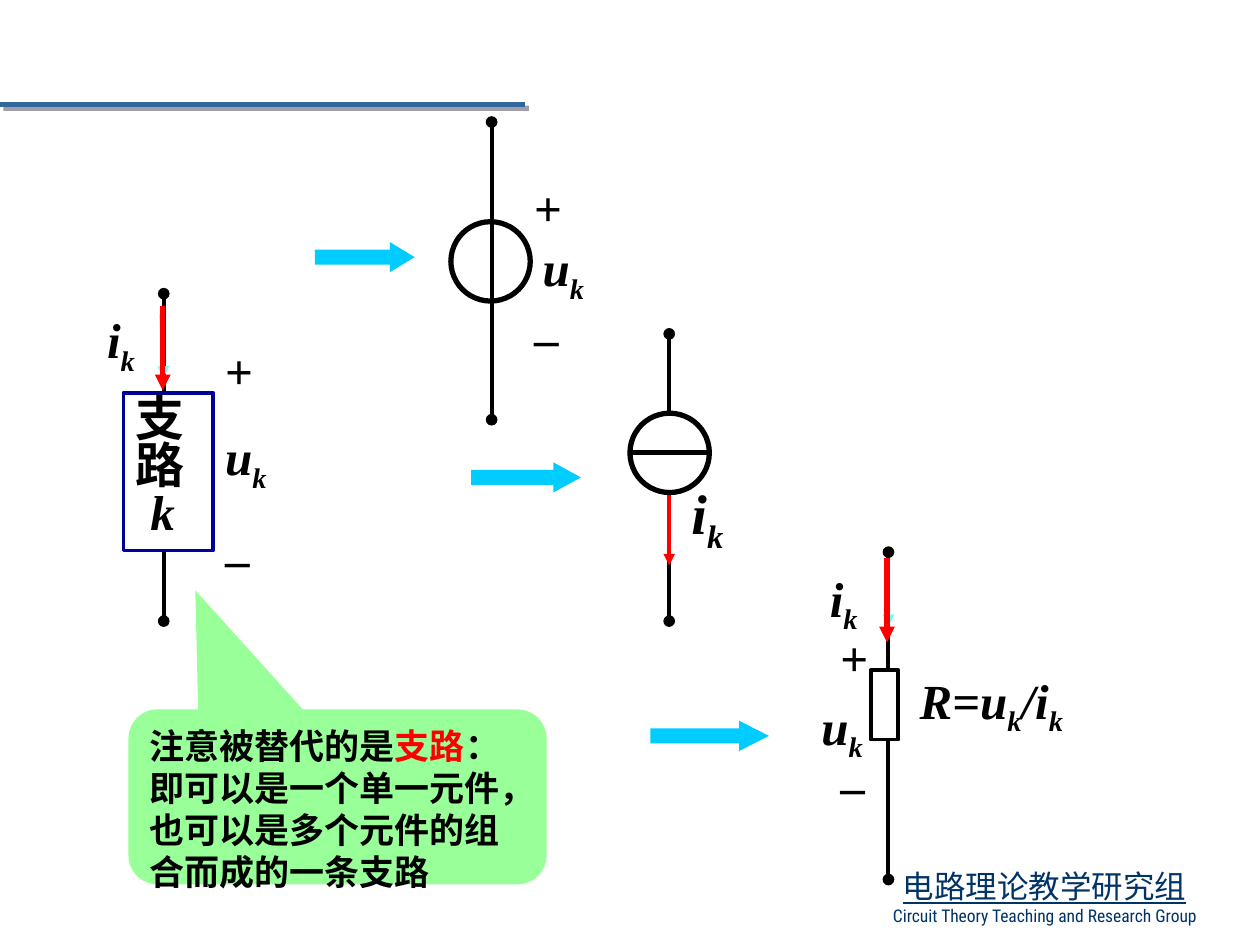
import pptx
import pptx.dml.color
import pptx.enum.shapes
import pptx.enum.text
import pptx.oxml
import pptx.oxml.ns
import pptx.util

Cm, Pt = pptx.util.Cm, pptx.util.Pt
KIND = pptx.enum.shapes.MSO_SHAPE
ALIGN = pptx.enum.text.PP_ALIGN
LATIN, CHINESE, FOOTER = "Times New Roman", "Noto Sans CJK SC", "Roboto Condensed"
BLACK, RED, CYAN, NAVY, WHITE = "000000", "FF0000", "66FFFF", "000099", "FFFFFF"
DOTS, ARROW, PLAIN = ("oval", "oval"), (None, "triangle"), (None, None)

# Content, in cm and back to front within each circuit
# line: x1, y1, x2, y2, colour, points, ends
# label: x, y, width, size, pieces (every second piece is a subscript)
# outline: x, y, width, height, preset, colour, points
I_K, U_K, PLUS, MINUS = ["i", "k"], ["u", "k"], ["+"], ["–"]
circuits = {
    "branch": [
        ("line", 3.3, 5.92, 3.3, 12.52, BLACK, 2.25, DOTS),
        ("branch box", 2.49, 7.92, 1.8, 3.18, KIND.RECTANGLE, NAVY, 2.25),
        ("line", 3.25, 6.32, 3.3, 7.62, CYAN, 2.25, ARROW),
        ("label", 1.91, 6.12, 1.47, 28, I_K),
        ("label", 4.29, 6.73, 0.69, 28, PLUS),
        ("label", 4.29, 10.52, 1.07, 28, MINUS),
        ("label", 4.29, 8.48, 1.52, 28, U_K),
        ("line", 3.28, 6.17, 3.28, 7.87, RED, 3, ARROW),
    ],
    "voltage source": [
        ("outline", 9.09, 4.47, 1.6, 1.6, KIND.OVAL, BLACK, 3),
        ("line", 9.93, 4.62, 9.93, 5.99, BLACK, 1.5, PLAIN),
        ("label", 10.52, 3.45, 0.69, 28, PLUS),
        ("label", 10.52, 6.07, 1.07, 28, MINUS),
        ("label", 10.69, 4.67, 1.52, 28, U_K),
        ("line", 9.91, 2.46, 9.91, 8.46, BLACK, 2.25, DOTS),
    ],
    "resistor": [
        ("line", 17.91, 11.13, 17.91, 17.73, BLACK, 2.25, DOTS),
        ("line", 17.91, 11.33, 17.91, 12.62, CYAN, 2.25, ARROW),
        ("label", 16.48, 11.33, 1.47, 28, I_K),
        ("label", 16.69, 12.52, 0.69, 28, PLUS),
        ("label", 16.69, 15.11, 1.07, 28, MINUS),
        ("label", 16.31, 13.92, 1.52, 28, U_K),
        ("label", 18.29, 13.39, 3.51, 28, ["R=u", "k", "/i", "k"]),
        ("outline", 17.55, 13.51, 0.56, 1.4, KIND.RECTANGLE, BLACK, 2.25),
        ("line", 17.88, 11.25, 17.88, 12.95, RED, 3, ARROW),
    ],
    "current source": [
        ("line", 13.49, 6.73, 13.49, 12.52, BLACK, 2.25, DOTS),
        ("label", 13.69, 9.53, 1.73, 32, I_K),
        ("line", 13.49, 9.93, 13.49, 11.4, RED, 2.25, ARROW),
        ("outline", 12.7, 8.33, 1.6, 1.6, KIND.OVAL, BLACK, 3),
        ("line", 12.7, 9.12, 14.3, 9.12, BLACK, 3, PLAIN),
    ],
}
branch_name = [("支", CHINESE), ("路", CHINESE), ("k", LATIN)]
replacements = [(6.35, 4.88, 2.01), (9.5, 9.32, 2.21), (13.11, 14.53, 2.39)]
ARROW_HEIGHT = 0.61
note = [("注意被替代的是", BLACK), ("支路", RED),
        ("：即可以是一个单一元件，也可以是多个元件的组合而成的一条支路", BLACK)]
footer = [("电路理论教学研究组", 18, CHINESE, True),
          ("Circuit Theory Teaching and Research Group", 10, FOOTER, False)]


def rgb(colour):
    return pptx.dml.color.RGBColor.from_string(colour)


def add_xml(parent, tag, **attributes):
    child = pptx.oxml.parse_xml(f"<{tag} {pptx.oxml.ns.nsdecls('a')}/>")
    for key, value in attributes.items():
        child.set(key, str(value))
    parent.append(child)
    return child


def style(run, size, face, colour=BLACK, bold=True, italic=False):
    font = run.font
    font.size, font.name, font.bold, font.italic = Pt(size), face, bold, italic
    font.color.rgb = rgb(colour)
    if face == CHINESE:
        add_xml(font._element, "a:ea", typeface=face)


def add_line(parent, x1, y1, x2, y2, colour, points, ends):
    line = parent.add_connector(pptx.enum.shapes.MSO_CONNECTOR.STRAIGHT,
                                Cm(x1), Cm(y1), Cm(x2), Cm(y2))
    line.line.color.rgb = rgb(colour)
    line.line.width = Pt(points)
    for tag, end in zip(("a:headEnd", "a:tailEnd"), ends):
        if end:
            add_xml(line.line._get_or_add_ln(), tag, type=end)
    return add_xml(line._element.spPr, "a:effectLst")


def add_shape(parent, x, y, width, height, preset, fill, colour=None, points=0):
    shape = parent.add_shape(preset, Cm(x), Cm(y), Cm(width), Cm(height))
    shape.shadow.inherit = False
    shape.fill.solid()
    shape.fill.fore_color.rgb = rgb(fill)
    if colour:
        shape.line.color.rgb = rgb(colour)
        shape.line.width = Pt(points)
    else:
        shape.line.fill.background()
    shape.text_frame.vertical_anchor = pptx.enum.text.MSO_ANCHOR.TOP
    return shape


def add_outline(parent, x, y, width, height, preset, colour, points):
    return add_shape(parent, x, y, width, height, preset, WHITE, colour, points)


def add_branch_box(parent, *place):
    frame = add_outline(parent, *place).text_frame
    frame.text = "\n".join(name for name, _ in branch_name)
    for paragraph, (_, face) in zip(frame.paragraphs, branch_name):
        paragraph.alignment = ALIGN.JUSTIFY
        paragraph.line_spacing = 0.8
        style(paragraph.runs[0], 28, face, italic=face == LATIN)
    frame.paragraphs[-1]._p.get_or_add_pPr().set("marL", str(Cm(0.29)))


def add_label(parent, x, y, width, size, pieces):
    height = 1.45 if size == 28 else 1.6
    frame = parent.add_textbox(Cm(x), Cm(y), Cm(width), Cm(height)).text_frame
    frame.word_wrap = True
    for i, piece in enumerate(pieces):
        run = frame.paragraphs[0].add_run()
        run.text = piece
        style(run, size, LATIN, italic=len(pieces) > 1)
        if i % 2:
            run.font._element.set("baseline", "-25000")


DRAW = {"line": add_line, "label": add_label,
        "outline": add_outline, "branch box": add_branch_box}


def main():
    deck = pptx.Presentation()
    deck.slide_width, deck.slide_height = Cm(25.4), Cm(19.05)
    shapes = deck.slides.add_slide(deck.slide_layouts[6]).shapes

    # Footer
    frame = shapes.add_textbox(Cm(17.15), Cm(17.35), Cm(7.82), Cm(1.45)).text_frame
    frame.word_wrap = True
    frame.text = "\n".join(row[0] for row in footer)
    for paragraph, (_, size, face, underlined) in zip(frame.paragraphs, footer):
        paragraph.alignment = ALIGN.CENTER
        style(paragraph.runs[0], size, face, "003366", bold=False)
        paragraph.runs[0].font.underline = underlined

    # Header rule with its shadow
    effects = add_line(shapes, 0, 2.11, 10.59, 2.11, "336699", 3, PLAIN)
    shadow = add_xml(effects, "a:outerShdw", dist=Pt(2.8), dir=45 * 60000, algn="ctr")
    add_xml(add_xml(shadow, "a:srgbClr", val="3E3E5C"), "a:alpha", val=50000)

    # Circuits, one group each
    for parts in circuits.values():
        group = shapes.add_group_shape().shapes
        for kind, *details in parts:
            DRAW[kind](group, *details)

    # Replacement arrows
    for x, y, width in replacements:
        arrow = add_shape(shapes, x, y, width, ARROW_HEIGHT, KIND.RIGHT_ARROW, "00CCFF")
        arrow.adjustments[1] = round(width / ARROW_HEIGHT / 4, 2)

    # Note on the branch
    callout = add_shape(shapes, 2.59, 14.3, 8.43, 3.53,
                        KIND.ROUNDED_RECTANGULAR_CALLOUT, "99FF99")
    callout.adjustments[0], callout.adjustments[1] = -0.34, -1.18
    callout.text_frame.word_wrap = True
    paragraph = callout.text_frame.paragraphs[0]
    paragraph.alignment = ALIGN.LEFT
    for text, colour in note:
        run = paragraph.add_run()
        run.text = text
        style(run, 20, CHINESE, colour)

    deck.save("out.pptx")


if __name__ == "__main__":
    main()
